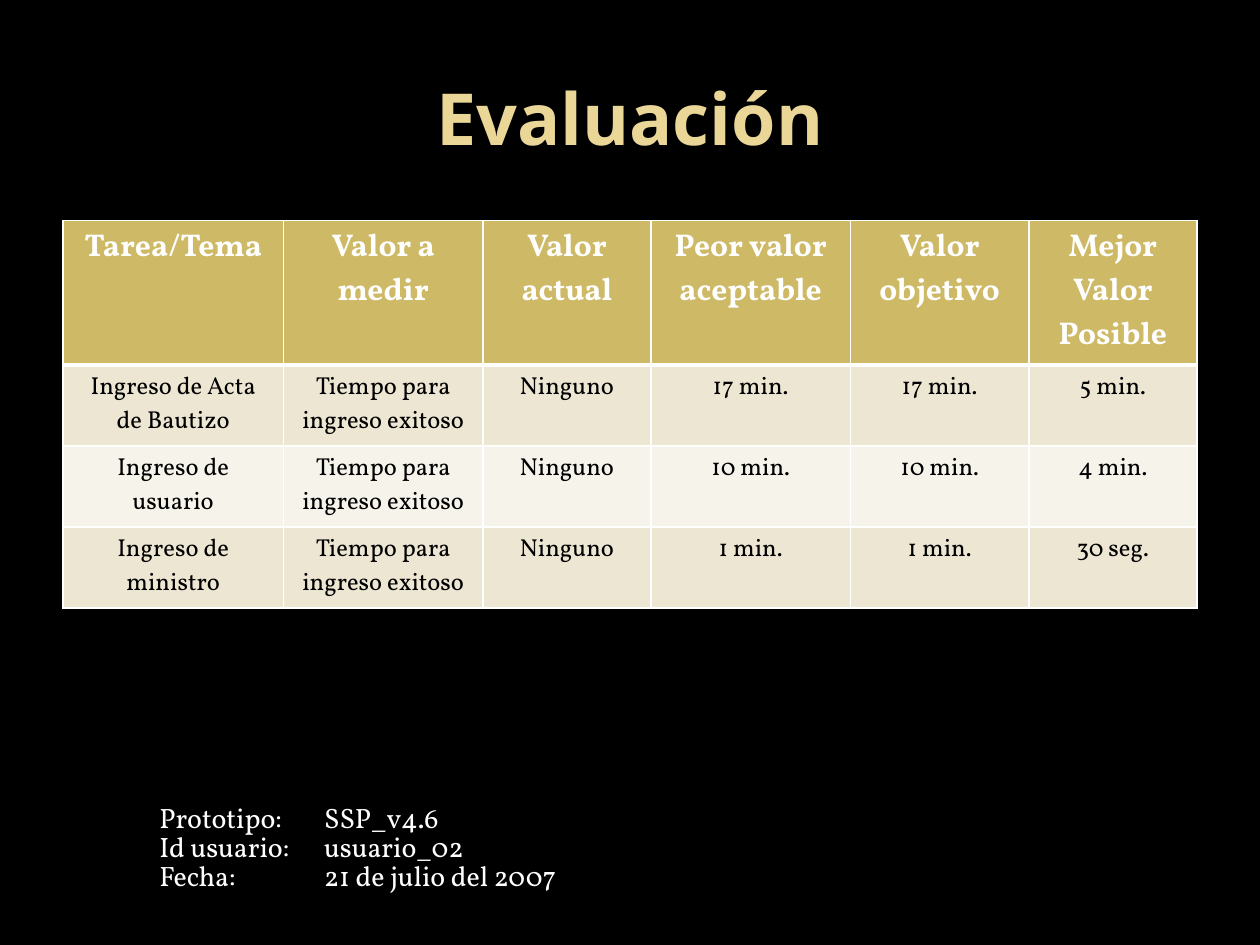
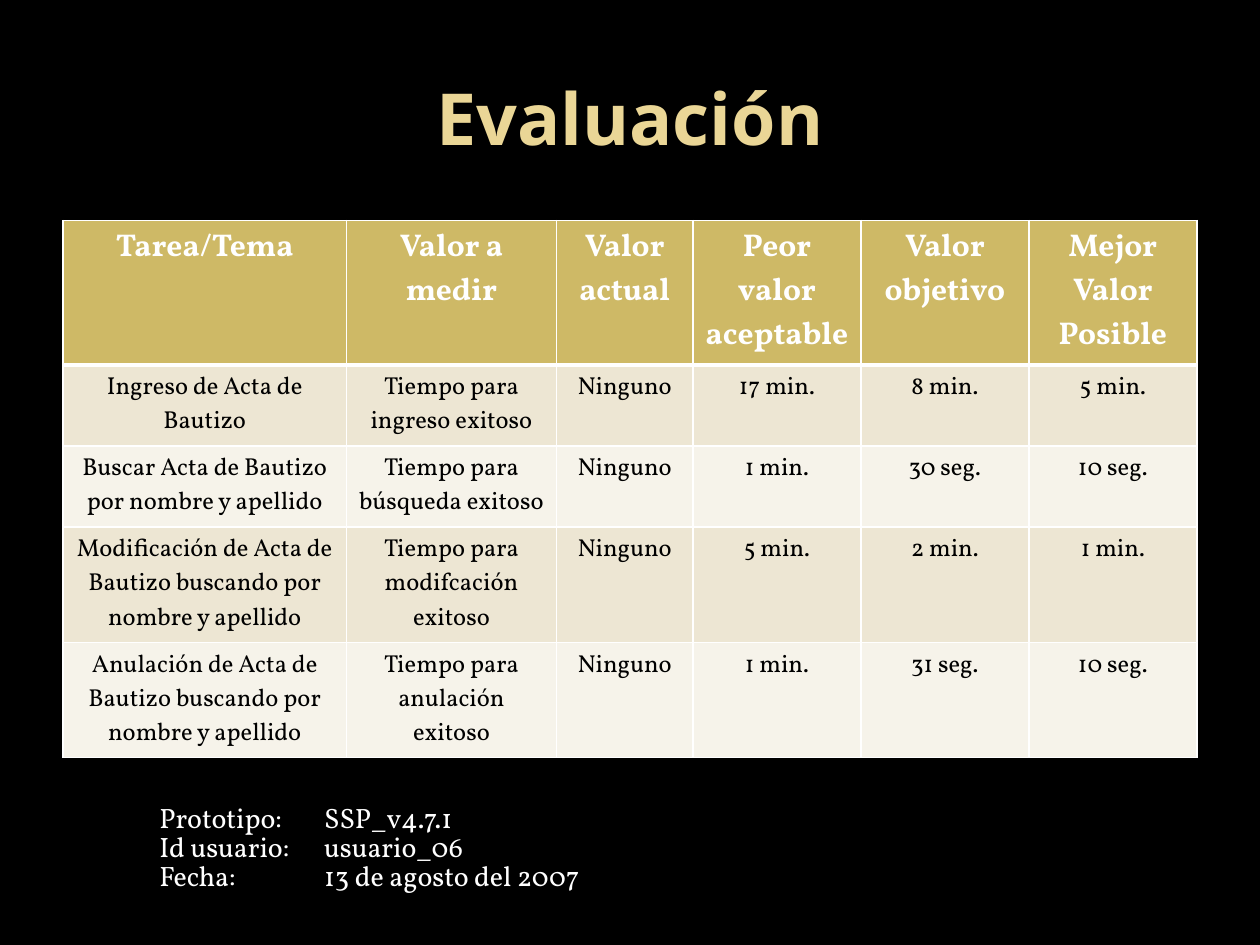
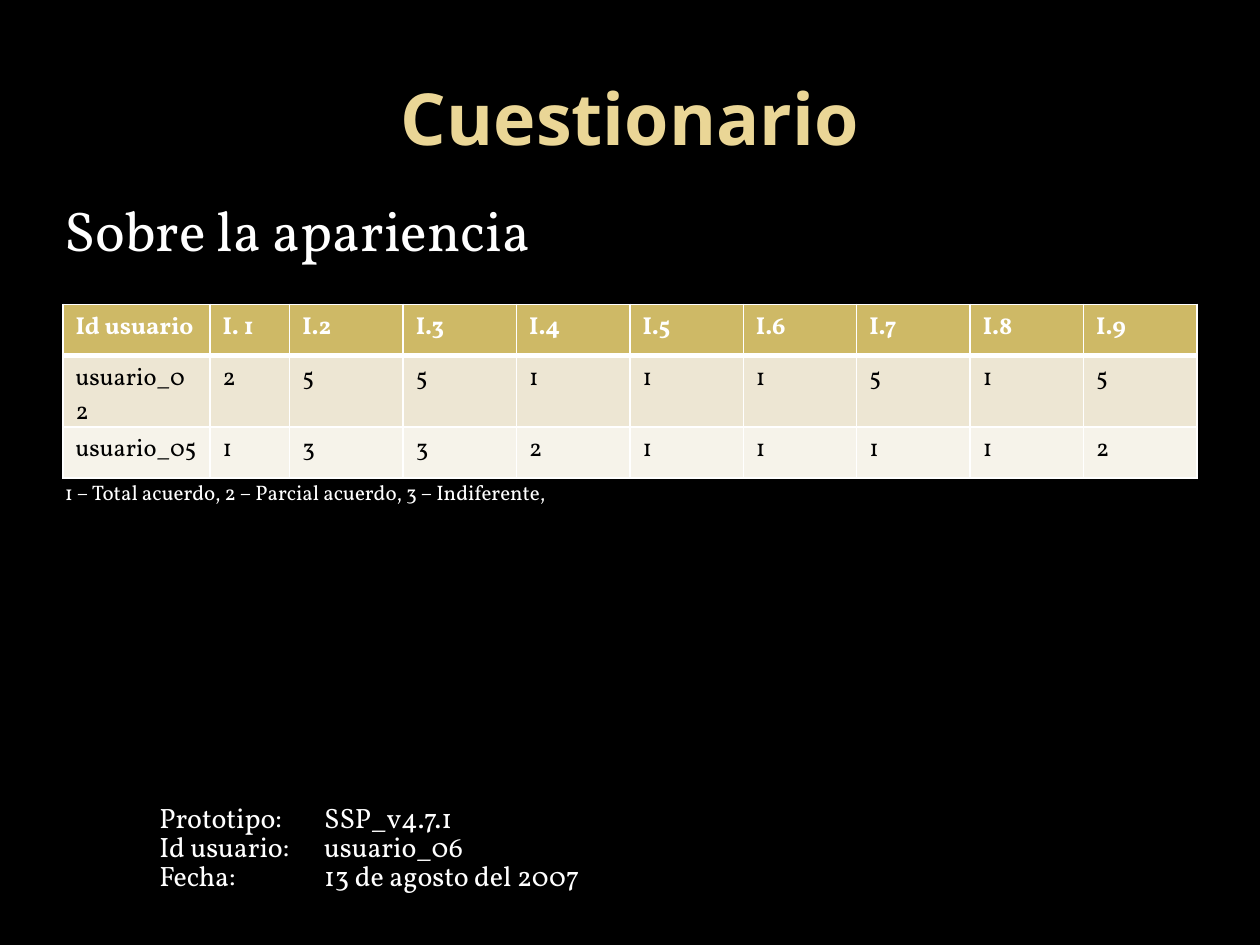
from lxml.etree import SubElement as Sub
from pptx import Presentation
from pptx.dml.color import RGBColor
from pptx.enum.text import MSO_ANCHOR as Anchor, PP_ALIGN as Align
from pptx.oxml.ns import qn
from pptx.util import Emu, Inches, Pt

WIDE, HIGH = Inches(10), Inches(7.5)
UNIT = WIDE / 120
GOLD, SAND, PALE, CREAM = "CEB966", "EDE6D3", "F6F3EA", "EAD696"
WHITE, BLACK = "FFFFFF", "000000"
BODY = {"name": "Vollkorn", "bold": False}
HEAD = {"name": "Noto Sans", "size": Pt(41), "bold": True}
FIT = {"word_wrap": True, "vertical_anchor": Anchor.TOP}
LEAD = 0.86
ROW = 4.87
TASKS = ["Tarea/Tema", "Valor a medir", "Valor actual", "Peor valor aceptable",
         "Valor objetivo", "Mejor Valor Posible"]


def grid(*cells):
    return [Emu(round(cell * UNIT)) for cell in cells]


def tint(target, code):
    target.solid()
    target.fore_color.rgb = RGBColor.from_string(code)


def apply(target, form):
    for key, value in form.items():
        setattr(target, key, value)


def style(part, form, code, align=Align.LEFT):
    part.alignment = align
    for run in part.runs:
        apply(run.font, form)
        tint(run.font.fill, code)


def add_page(deck, title):
    page = deck.slides.add_slide(deck.slide_layouts[5])
    head = page.shapes.title
    apply(head, dict(zip(("left", "top", "width", "height"), grid(6, 3.6, 108, 15))))
    head.text_frame.text = title
    head.text_frame.vertical_anchor = Anchor.MIDDLE
    style(head.text_frame.paragraphs[0], HEAD, CREAM, Align.CENTER)
    return page


def add_text(page, spot, lines, size):
    frame = page.shapes.add_textbox(*grid(*spot)).text_frame
    apply(frame, FIT)
    frame.text = "\n".join(lines)
    for part in frame.paragraphs:
        part.line_spacing = LEAD
        style(part, {**BODY, "size": Pt(size)}, WHITE)
    return frame


def add_foot(page, build, user, date):
    pairs = [("Prototipo", build), ("Id usuario", user), ("Fecha", date)]
    lines = [f"{label}:\t{value}" for label, value in pairs]
    frame = add_text(page, (14, 76.1, 91, 10.9), lines, 16)
    for part in frame.paragraphs:
        tabs = Sub(part._p.get_or_add_pPr(), qn("a:tabLst"))
        Sub(tabs, qn("a:tab"), pos=str(grid(15.7)[0]), algn="l")


def edge(cell, sides):
    props = cell._tc.get_or_add_tcPr()
    for spot, (side, width) in enumerate(sides.items()):
        line = Sub(props, qn(f"a:ln{side}"), w=str(Pt(width)))
        fill = Sub(line, qn("a:solidFill"))
        Sub(fill, qn("a:srgbClr"), val=WHITE)
        props.insert(spot, line)


def add_grid(page, top, cols, rows, size, align):
    count = len(rows)
    spot = grid(6, top, sum(cols), ROW * count)
    table = page.shapes.add_table(count, len(cols), *spot).table
    for col, width in zip(table.columns, grid(*cols)):
        col.width = width
    for y, row in enumerate(rows):
        table.rows[y].height = grid(ROW)[0]
        fill = GOLD if y == 0 else SAND if y % 2 else PALE
        form = {**BODY, "size": Pt(14 if y else size), "bold": y == 0}
        for x, text in enumerate(row):
            cell = table.cell(y, x)
            cell.text = text
            tint(cell.fill, fill)
            style(cell.text_frame.paragraphs[0], form, BLACK if y else WHITE, align)
            edge(cell, {"L": 1, "R": 1, "T": 3 if y == 1 else 1, "B": 1 if y else 3})


def add_test(deck, cols, rows, foot):
    page = add_page(deck, "Evaluación")
    add_grid(page, 21, cols, [TASKS] + rows, 18, Align.CENTER)
    add_foot(page, *foot)


def add_poll(deck, rows, foot):
    page = add_page(deck, "Cuestionario")
    add_foot(page, *foot)
    names = ["Id usuario", "I. 1"] + [f"I.{item}" for item in range(2, 10)]
    add_grid(page, 29, [14, 7.6] + [10.8] * 8, [names] + rows, 14, Align.LEFT)
    add_text(page, (5, 19, 91, 7.7), ["Sobre la apariencia"], 32)
    add_text(page, (5, 45.4, 91, 3.6),
             ["1 – Total acuerdo, 2 – Parcial acuerdo, 3 – Indiferente,"], 12)


def main():
    deck = Presentation()
    apply(deck, {"slide_width": WIDE, "slide_height": HIGH})
    tint(deck.slide_master.background.fill, BLACK)
    entry = "Tiempo para ingreso exitoso"
    none = "Ninguno"
    first = ("SSP_v4.6", "usuario_02", "21 de julio del 2007")
    last = ("SSP_v4.7.1", "usuario_06", "13 de agosto del 2007")
    add_test(deck, [21, 19, 16, 19, 17, 16], [
        ["Ingreso de Acta de Bautizo", entry, none, "17 min.", "17 min.", "5 min."],
        ["Ingreso de usuario", entry, none, "10 min.", "10 min.", "4 min."],
        ["Ingreso de ministro", entry, none, "1 min.", "1 min.", "30 seg."],
    ], first)
    add_test(deck, [27, 20, 13, 16, 16, 16], [
        ["Ingreso de Acta de Bautizo", entry, none, "17 min.", "8 min.", "5 min."],
        ["Buscar Acta de Bautizo por nombre y apellido",
         "Tiempo para búsqueda exitoso", none, "1 min.", "30 seg.", "10 seg."],
        ["Modificación de Acta de Bautizo buscando por nombre y apellido",
         "Tiempo para modifcación exitoso", none, "5 min.", "2 min.", "1 min."],
        ["Anulación de Acta de Bautizo buscando por nombre y apellido",
         "Tiempo para anulación exitoso", none, "1 min.", "31 seg.", "10 seg."],
    ], last)
    add_poll(deck, [
        ["usuario_02", *"255111515"],
        ["usuario_05", *"133211112"],
    ], last)
    deck.save("out.pptx")


if __name__ == "__main__":
    main()
